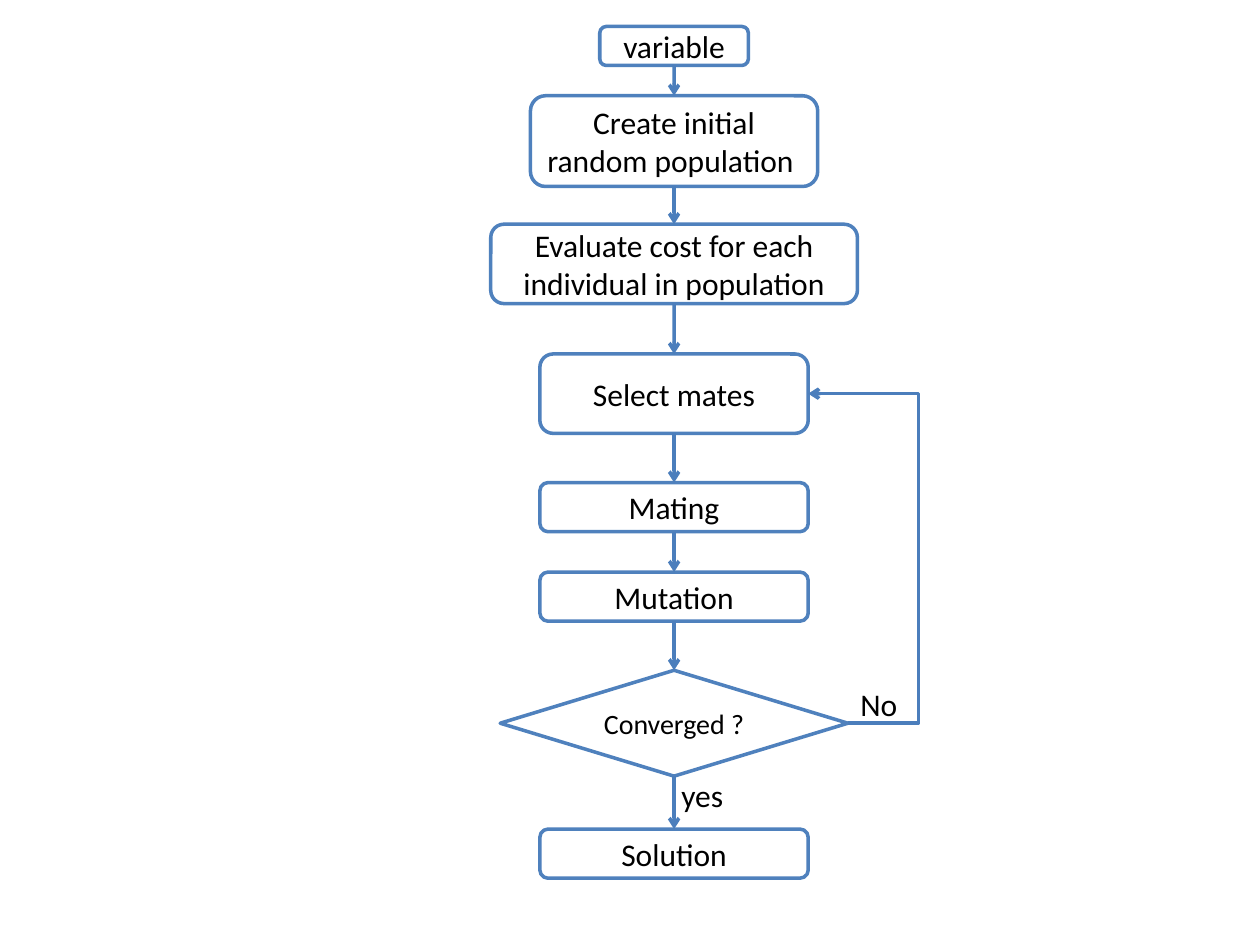
from pptx import Presentation
from pptx.dml.color import RGBColor
from pptx.enum.shapes import MSO_CONNECTOR as Link, MSO_SHAPE as Shape
from pptx.enum.text import MSO_ANCHOR as Anchor, PP_ALIGN as Align
from pptx.oxml.ns import qn
from pptx.util import Inches, Pt
from lxml.etree import SubElement

BORDER, ARROW, WHITE, BLACK = "4F81BD", "4B7EBC", "FFFFFF", "000000"
CENTER = 5.35
TOP, RIGHT, BOTTOM = 0, 3, 2
STEPS = [
    ("variable", 0.21, 1.18, 0.31),
    ("Create initial random population ", 0.76, 2.28, 0.72),
    ("Evaluate cost for each individual in population", 1.78, 2.91, 0.63),
    ("Select mates", 2.81, 2.13, 0.63),
    ("Mating", 3.83, 2.13, 0.39),
    ("Mutation", 4.54, 2.13, 0.39),
    ("Converged ?", 5.32, 2.76, 0.84),
    ("Solution", 6.58, 2.13, 0.39),
]


def color(value):
    return RGBColor.from_string(value)


def write(box, text, size):
    box.text_frame.text = text
    box.text_frame.word_wrap = True
    para = box.text_frame.paragraphs[0]
    font = para.runs[0].font
    font.name, font.size = "Calibri", Pt(size)
    font.color.rgb = color(BLACK)
    return para


def add_step(page, text, top, width, height):
    decision = text.endswith("?")
    kind = Shape.DIAMOND if decision else Shape.ROUNDED_RECTANGLE
    box = page.shapes.add_shape(kind, Inches(CENTER - width / 2), Inches(top),
                                Inches(width), Inches(height))
    box.shadow.inherit = False
    box.fill.solid()
    box.fill.fore_color.rgb = color(WHITE)
    box.line.color.rgb = color(BORDER)
    box.line.width = Pt(2)
    write(box, text, 16 if decision else 18).alignment = Align.CENTER
    box.text_frame.vertical_anchor = Anchor.MIDDLE
    return box


def add_arrow(page, kind, source, source_site, target, target_site):
    arrow = page.shapes.add_connector(kind, 0, 0, 0, 0)
    arrow.begin_connect(source, source_site)
    arrow.end_connect(target, target_site)
    arrow.line.color.rgb = color(ARROW)
    arrow.line.width = Pt(2)
    SubElement(arrow.line._get_or_add_ln(), qn("a:tailEnd"), type="arrow")
    SubElement(arrow._element.spPr, qn("a:effectLst"))
    return arrow


def add_loop(page, source, target, turn):
    loop = add_arrow(page, Link.ELBOW, source, RIGHT, target, RIGHT)
    bend = (loop.begin_x - Inches(turn)) / loop.width
    guides = loop._element.spPr.find(qn("a:prstGeom")).find(qn("a:avLst"))
    SubElement(guides, qn("a:gd"), name="adj1", fmla=f"val {round(bend * 100000)}")


def add_label(page, text, left, top):
    box = page.shapes.add_textbox(Inches(left), Inches(top), Inches(0.63), Inches(0.4))
    write(box, text, 18)


def add_flowchart(page):
    boxes = [add_step(page, *step) for step in STEPS]
    for upper, lower in zip(boxes, boxes[1:]):
        add_arrow(page, Link.STRAIGHT, upper, BOTTOM, lower, TOP)
    add_loop(page, boxes[6], boxes[3], 7.29)
    add_label(page, "No", 6.73, 5.39)
    add_label(page, "yes", 5.31, 6.11)


def main():
    deck = Presentation()
    deck.slide_width, deck.slide_height = Inches(10), Inches(7.5)
    page = deck.slides.add_slide(deck.slide_layouts[6])
    add_flowchart(page)
    deck.save("out.pptx")


if __name__ == "__main__":
    main()
